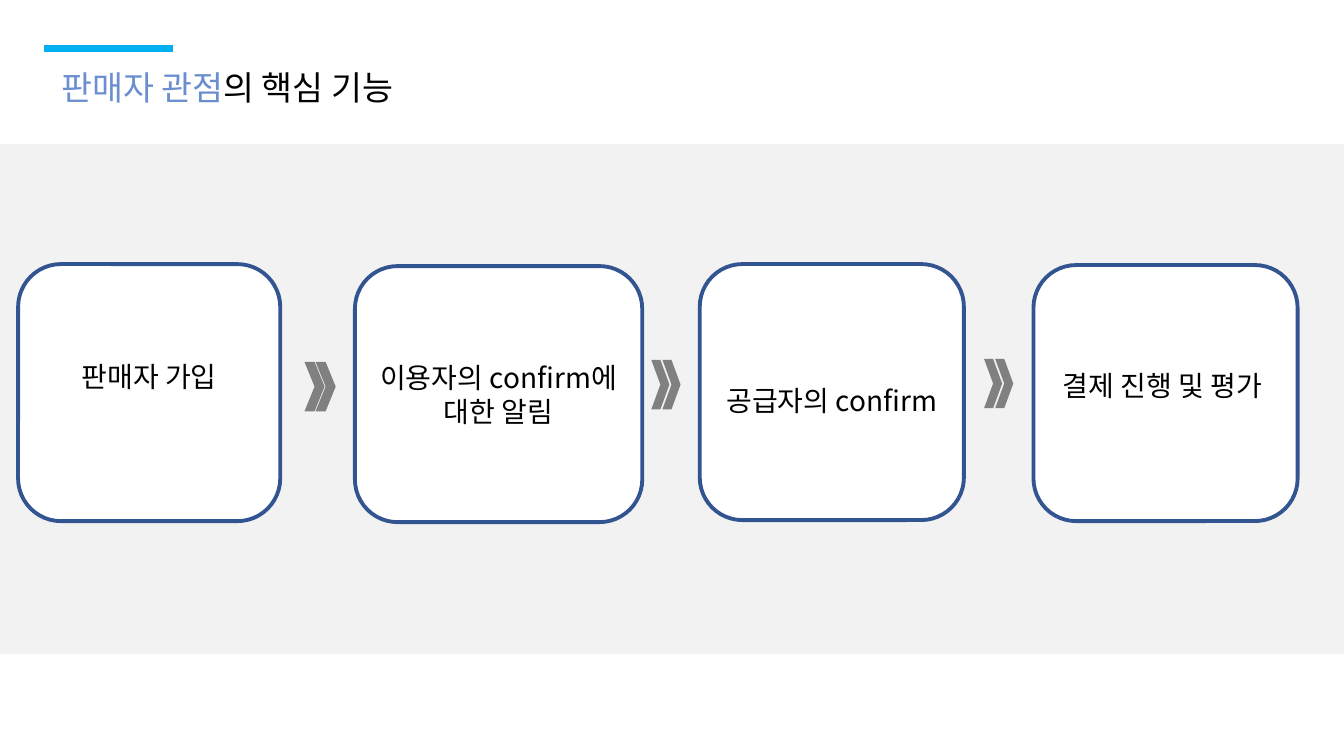
from lxml.etree import SubElement
from pptx import Presentation
from pptx.dml.color import RGBColor
from pptx.enum.shapes import MSO_CONNECTOR as Connector, MSO_SHAPE as Shape
from pptx.enum.text import MSO_ANCHOR as Anchor, PP_ALIGN as Align
from pptx.oxml.ns import qn
from pptx.util import Inches, Pt


def color(value):
    return RGBColor.from_string(value)


def write(frame, text, size=20, fill="000000", font="Noto Sans CJK KR",
          align=None, spacing=None):
    """Append a run to the frame's first paragraph."""
    paragraph = frame.paragraphs[0]
    if align is not None:
        paragraph.alignment = align
    if spacing:
        paragraph.line_spacing = spacing
    run = paragraph.add_run()
    run.text = text
    run.font.size = Pt(size)
    run.font.name = font
    run.font.color.rgb = color(fill)
    SubElement(run.font._element, qn("a:ea"), typeface=font)


class FlowSlide:
    BAND, ACCENT, TITLE = "F2F2F2", "00B0F0", "6A8ED0"
    BORDER, CHEVRON = "325491", "808080"

    def __init__(self, deck):
        self.slide = deck.slides.add_slide(deck.slide_layouts[6])

    def shape(self, kind, left, top, width, height, fill, border=None, parent=None):
        item = (parent or self.slide).shapes.add_shape(
            kind, Inches(left), Inches(top), Inches(width), Inches(height))
        item.shadow.inherit = False
        item.fill.solid()
        item.fill.fore_color.rgb = color(fill)
        if border:
            item.line.color.rgb = color(border)
            item.line.width = Pt(2.75)
        else:
            item.line.fill.background()
        return item

    def accent(self, left, right, y):
        rule = self.slide.shapes.add_connector(
            Connector.STRAIGHT, Inches(left), Inches(y), Inches(right), Inches(y))
        rule.line.color.rgb = color(self.ACCENT)
        rule.line.width = Pt(5)
        SubElement(rule._element.spPr, qn("a:effectLst"))

    def title(self, left, top, width, height, highlight, rest):
        frame = self.slide.shapes.add_textbox(
            Inches(left), Inches(top), Inches(width), Inches(height)).text_frame
        frame.word_wrap = True
        write(frame, highlight, size=24, fill=self.TITLE)
        write(frame, rest, size=24)

    def step(self, left, top, width, height, text, spacing, bottom):
        box = self.shape(Shape.ROUNDED_RECTANGLE, left, top, width, height,
                         "FFFFFF", self.BORDER)
        frame = box.text_frame
        frame.word_wrap = True
        frame.vertical_anchor = Anchor.MIDDLE
        frame.margin_bottom = Inches(bottom)
        write(frame, text, align=Align.CENTER, spacing=spacing)

    def double_chevron(self, left, top, width, height):
        pair = self.slide.shapes.add_group_shape()
        for offset in (0, 0.11):
            self.shape(Shape.CHEVRON, left + offset, top, width, height,
                       self.CHEVRON, parent=pair)


def main():
    deck = Presentation()
    deck.slide_width, deck.slide_height = Inches(13.33), Inches(7.5)
    flow = FlowSlide(deck)

    # Background band and heading
    flow.shape(Shape.RECTANGLE, 0, 1.43, 13.33, 5.06, flow.BAND)
    flow.accent(0.44, 1.72, 0.48)
    flow.title(0.51, 0.61, 4.51, 0.5, "판매자 관점", "의 핵심 기능")

    # Steps: left, top, width, height, text, line spacing, bottom inset
    steps = [
        (0.18, 2.62, 2.6, 2.55, "판매자 가입", None, 0.38),
        (3.52, 2.64, 2.85, 2.54, "이용자의 confirm에 대한 알림", None, 0.05),
        (6.94, 2.62, 2.62, 2.54, "공급자의 confirm", 1.5, 0.05),
        (10.25, 2.63, 2.62, 2.54, "결제 진행 및 평가 ", 1.5, 0.38),
    ]
    for step in steps:
        flow.step(*step)

    # Chevrons between the steps
    for left, top, width in [(3.02, 3.59, 0.2), (6.46, 3.57, 0.18), (9.76, 3.56, 0.18)]:
        flow.double_chevron(left, top, width, 0.49)

    deck.save("out.pptx")


if __name__ == "__main__":
    main()
